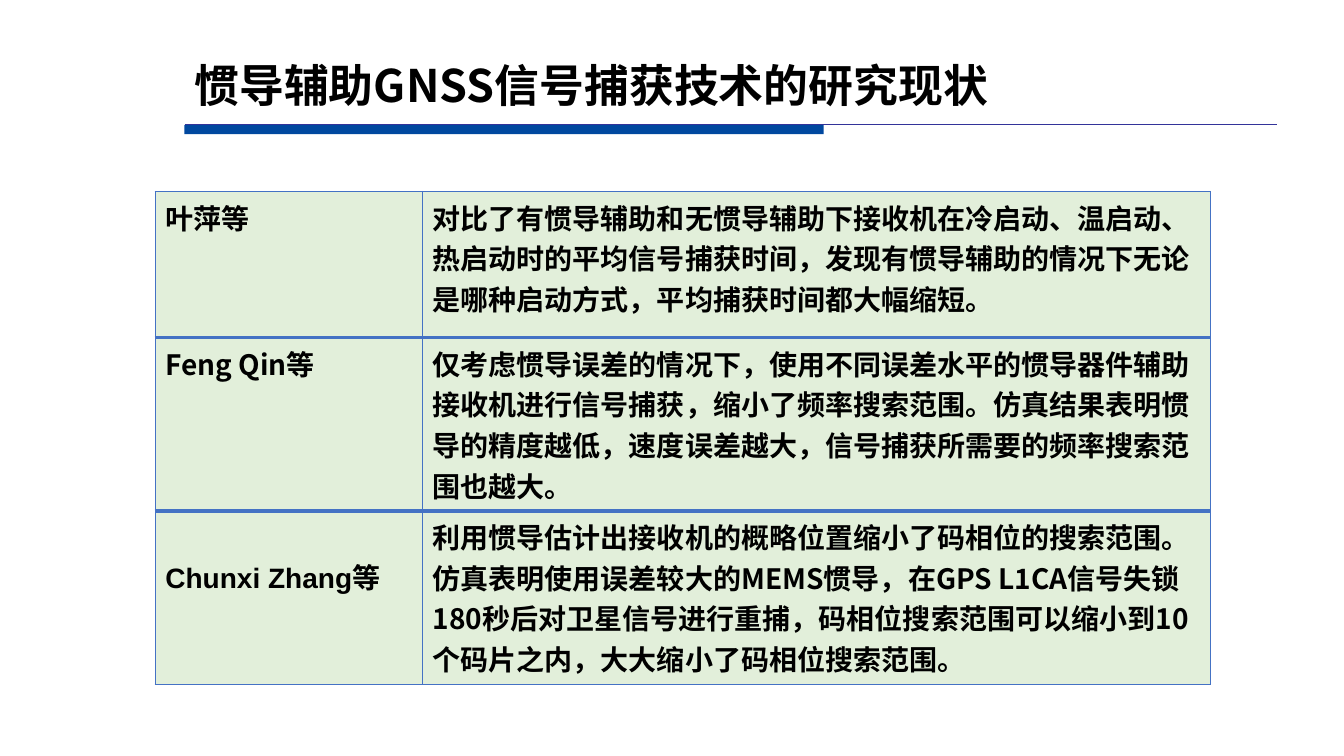
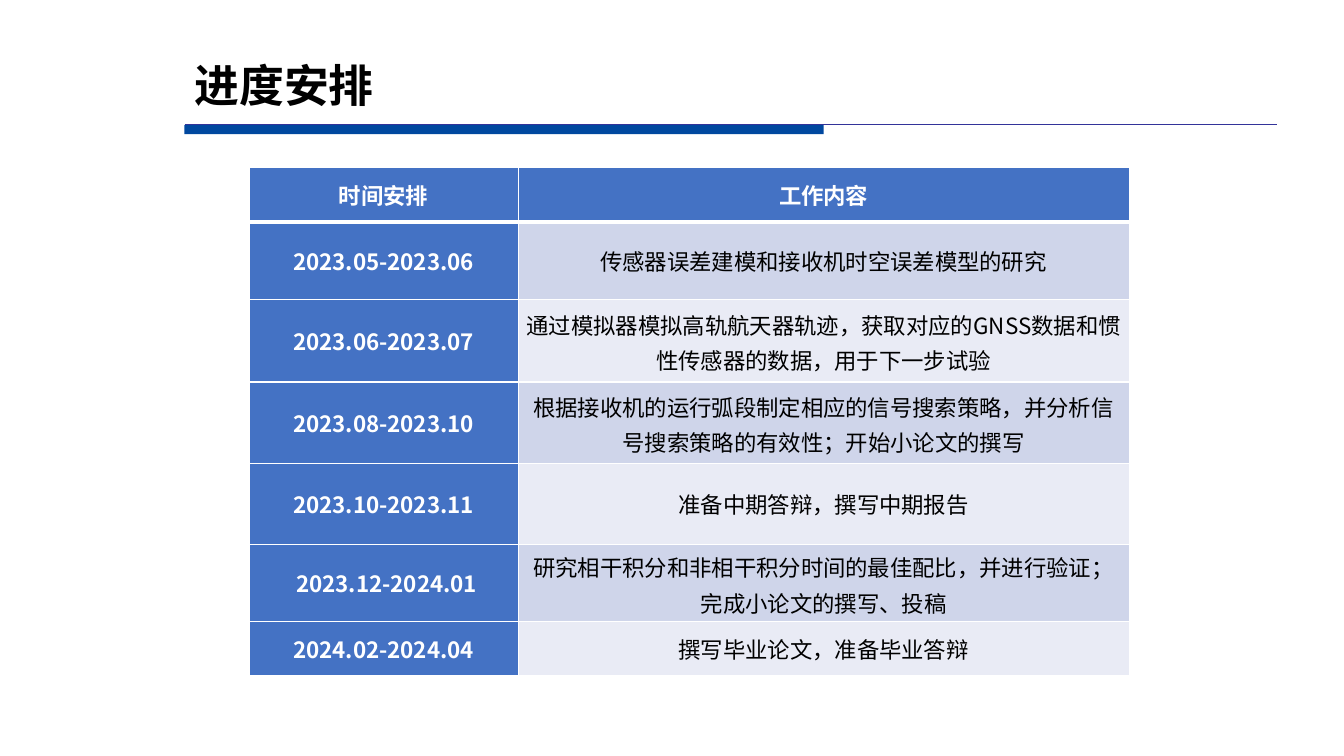
from dataclasses import dataclass
from typing import Optional

from lxml.etree import SubElement
from pptx import Presentation
from pptx.dml.color import RGBColor
from pptx.enum.shapes import MSO_CONNECTOR, MSO_SHAPE
from pptx.enum.text import MSO_ANCHOR, PP_ALIGN
from pptx.oxml.ns import qn
from pptx.util import Emu, Pt

PX = 9144
FONT = "Noto Sans CJK SC"
COLORS = {
    "black": "000000",
    "white": "FFFFFF",
    "bar": "00489F",
    "rule": "333399",
    "blue": "4472C4",
    "green": "E2EFDA",
    "band_dark": "CFD5EA",
    "band_light": "E9EBF5",
}


@dataclass(frozen=True)
class Borders:
    color: str
    left: float = 1
    right: float = 1
    top: float = 1
    bottom: float = 1


@dataclass(frozen=True)
class CellStyle:
    fill: str
    borders: Borders
    margins: tuple[int, int, int, int]
    anchor: MSO_ANCHOR = MSO_ANCHOR.TOP
    align: PP_ALIGN = PP_ALIGN.LEFT
    size: int = 20
    color: str = "black"
    bold: bool = True


@dataclass(frozen=True)
class Study:
    author: str
    finding: str
    height: int
    borders: Borders
    latin: str = FONT
    drop: int = 0


@dataclass(frozen=True)
class Stage:
    period: str
    work: str
    height: int
    spacing: Optional[float] = None
    indent: int = 0


STUDIES = [
    Study("叶萍等",
          "对比了有惯导辅助和无惯导辅助下接收机在冷启动、温启动、热启动时的平均信号捕获时间，"
          "发现有惯导辅助的情况下无论是哪种启动方式，平均捕获时间都大幅缩短。",
          145, Borders("blue", bottom=2)),
    Study("Feng Qin等",
          "仅考虑惯导误差的情况下，使用不同误差水平的惯导器件辅助接收机进行信号捕获，"
          "缩小了频率搜索范围。仿真结果表明惯导的精度越低，速度误差越大，"
          "信号捕获所需要的频率搜索范围也越大。",
          172, Borders("blue")),
    Study("Chunxi Zhang等",
          "利用惯导估计出接收机的概略位置缩小了码相位的搜索范围。仿真表明使用误差较大的MEMS惯导，"
          "在GPS L1CA信号失锁180秒后对卫星信号进行重捕，码相位搜索范围可以缩小到10个码片之内，"
          "大大缩小了码相位搜索范围。",
          172, Borders("blue", top=4), latin="Arial", drop=40),
]

STAGES = [
    Stage("2023.05-2023.06", "传感器误差建模和接收机时空误差模型的研究", 77),
    Stage("2023.06-2023.07",
          "通过模拟器模拟高轨航天器轨迹，获取对应的GNSS数据和惯性传感器的数据，用于下一步试验",
          82, 1.1),
    Stage("2023.08-2023.10",
          "根据接收机的运行弧段制定相应的信号搜索策略，并分析信号搜索策略的有效性；开始小论文的撰写",
          81, 1.1),
    Stage("2023.10-2023.11", "准备中期答辩，撰写中期报告", 80),
    Stage("2023.12-2024.01",
          "研究相干积分和非相干积分时间的最佳配比，并进行验证；完成小论文的撰写、投稿",
          77, 1.1, indent=6),
    Stage("2024.02-2024.04", "撰写毕业论文，准备毕业答辩", 53),
]


def px(n: int) -> Emu:
    return Emu(n * PX)


def rgb(name: str) -> RGBColor:
    return RGBColor.from_string(COLORS[name])


def write(tf, text: str, *, size: int, color: str = "black", bold: bool = True,
          latin: str = FONT, align: PP_ALIGN = PP_ALIGN.LEFT,
          spacing: Optional[float] = None) -> None:
    p = tf.paragraphs[0]
    p.alignment = align
    if spacing:
        p.line_spacing = spacing
    r = p.add_run()
    r.text = text
    r.font.size = Pt(size)
    r.font.bold = bold
    r.font.color.rgb = rgb(color)
    r.font.name = latin
    SubElement(r._r.get_or_add_rPr(), qn("a:ea"), typeface=FONT)


def set_borders(cell, borders: Borders) -> None:
    tc_pr = cell._tc.get_or_add_tcPr()
    sides = {"lnL": borders.left, "lnR": borders.right,
             "lnT": borders.top, "lnB": borders.bottom}
    for i, (tag, width) in enumerate(sides.items()):
        ln = SubElement(tc_pr, qn(f"a:{tag}"), w=str(Pt(width)))
        fill = SubElement(ln, qn("a:solidFill"))
        SubElement(fill, qn("a:srgbClr"), val=COLORS[borders.color])
        tc_pr.insert(i, ln)


def fill_cell(cell, text: str, style: CellStyle, *, latin: str = FONT,
              spacing: Optional[float] = None, indent: int = 0, drop: int = 0) -> None:
    left, top, right, bottom = style.margins
    cell.margin_left, cell.margin_top = px(left + indent), px(top + drop)
    cell.margin_right, cell.margin_bottom = px(right), px(bottom)
    cell.vertical_anchor = style.anchor
    cell.fill.solid()
    cell.fill.fore_color.rgb = rgb(style.fill)
    set_borders(cell, style.borders)
    write(cell.text_frame, text, size=style.size, color=style.color, bold=style.bold,
          latin=latin, align=style.align, spacing=spacing)


def add_grid(s, left: int, top: int, widths: list[int], heights: list[int]):
    table = s.shapes.add_table(len(heights), len(widths), px(left), px(top),
                               px(sum(widths)), px(sum(heights))).table
    table.first_row = table.horz_banding = False
    for col, width in zip(table.columns, widths):
        col.width = px(width)
    for row, height in zip(table.rows, heights):
        row.height = px(height)
    return table


def add_titled_slide(prs, title: str):
    s = prs.slides.add_slide(prs.slide_layouts[6])
    bar = s.shapes.add_shape(MSO_SHAPE.RECTANGLE, px(183), px(124), px(634), px(9))
    bar.shadow.inherit = False
    bar.fill.solid()
    bar.fill.fore_color.rgb = rgb("bar")
    bar.line.fill.background()
    rule = s.shapes.add_connector(MSO_CONNECTOR.STRAIGHT, px(183), px(124), px(1267), px(124))
    rule.line.color.rgb = rgb("rule")
    rule.line.width = Pt(0.75)
    SubElement(rule._element.spPr, qn("a:effectLst"))
    tf = s.shapes.add_textbox(px(183), px(50), px(1075), px(74)).text_frame
    tf.word_wrap = True
    tf.vertical_anchor = MSO_ANCHOR.MIDDLE
    write(tf, title, size=32, spacing=0.9)
    return s


def add_research_slide(prs) -> None:
    s = add_titled_slide(prs, "惯导辅助GNSS信号捕获技术的研究现状")
    table = add_grid(s, 154, 190, [265, 782], [study.height for study in STUDIES])
    for i, study in enumerate(STUDIES):
        style = CellStyle("green", study.borders, (10, 5, 10, 5))
        fill_cell(table.cell(i, 0), study.author, style, latin=study.latin, drop=study.drop)
        fill_cell(table.cell(i, 1), study.finding, style)


def schedule_style(fill: str, color: str, bold: bool, bottom: float = 1) -> CellStyle:
    return CellStyle(fill, Borders("white", bottom=bottom), (7, 0, 7, 0),
                     MSO_ANCHOR.MIDDLE, PP_ALIGN.CENTER, 16, color, bold)


def add_schedule_slide(prs) -> None:
    s = add_titled_slide(prs, "进度安排")
    table = add_grid(s, 247, 166, [267, 606], [54] + [stage.height for stage in STAGES])
    header = schedule_style("blue", "white", True, bottom=3)
    for j, heading in enumerate(("时间安排", "工作内容")):
        fill_cell(table.cell(0, j), heading, header)
    period = schedule_style("blue", "white", True)
    bands = [schedule_style(fill, "black", False) for fill in ("band_dark", "band_light")]
    for i, stage in enumerate(STAGES):
        fill_cell(table.cell(i + 1, 0), stage.period, period, indent=stage.indent)
        fill_cell(table.cell(i + 1, 1), stage.work, bands[i % 2], spacing=stage.spacing)


def main() -> None:
    prs = Presentation()
    prs.slide_width, prs.slide_height = px(1333), px(750)
    add_research_slide(prs)
    add_schedule_slide(prs)
    prs.save("out.pptx")


if __name__ == "__main__":
    main()
